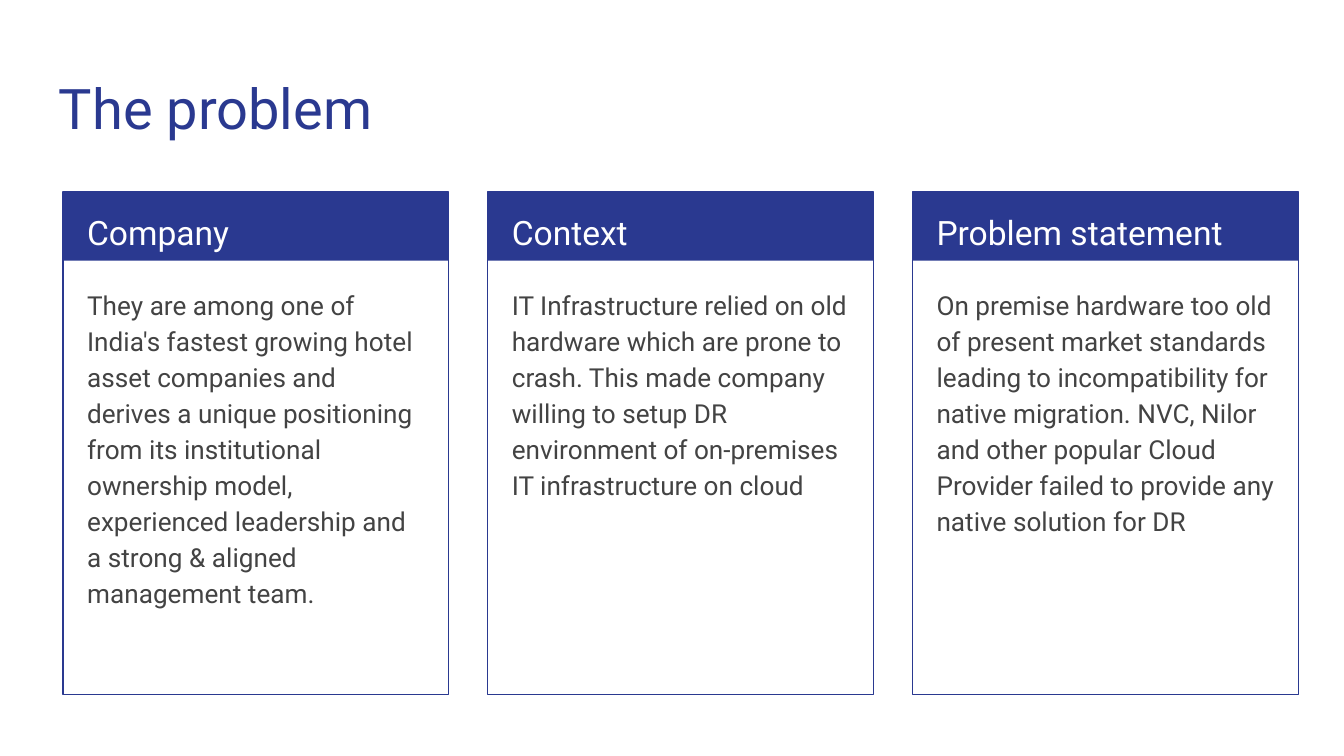
from pptx import Presentation
from pptx.dml.color import RGBColor
from pptx.enum import shapes, text
from pptx.util import Inches, Pt

BLUE, WHITE, GREY = "2A3990", "FFFFFF", "434343"


def color(value):
    return RGBColor.from_string(value)


def add_text(page, place, wording, size, ink, **spacing):
    box = page.shapes.add_textbox(*map(Inches, place))
    frame = box.text_frame
    frame_format = {"word_wrap": True, "vertical_anchor": text.MSO_ANCHOR.TOP}
    for side in ("left", "top", "right", "bottom"):
        frame_format[f"margin_{side}"] = Inches(0.1)
    for name, value in frame_format.items():
        setattr(frame, name, value)
    para = frame.paragraphs[0]
    for name, value in spacing.items():
        setattr(para, name, value)
    span = para.add_run()
    span.text = wording
    for name, value in {"name": "Roboto", "size": Pt(size)}.items():
        setattr(span.font, name, value)
    span.font.color.rgb = color(ink)


# Widescreen page, 16:9
deck = Presentation()
deck.slide_width = Inches(10)
deck.slide_height = Inches(10) * 9 // 16
page = deck.slides.add_slide(deck.slide_layouts[6])

# Title
add_text(page, (0.34, 0.45, 9.32, 0.66), "The problem", 30, BLUE)

# Three cards, evenly spaced
cards = [
    ("Company",
     "They are among one of India's fastest growing hotel asset companies and "
     "derives a unique positioning from its institutional ownership model, "
     "experienced leadership and a strong & aligned management team."),
    ("Context",
     "IT Infrastructure relied on old hardware which are prone to crash. This "
     "made company willing to setup DR environment of on-premises IT "
     "infrastructure on cloud"),
    ("Problem statement",
     "On premise hardware too old of present market standards leading to "
     "incompatibility for native migration. NVC, Nilor and other popular Cloud "
     "Provider failed to provide any native solution for DR"),
]
card_left, card_top, card_width, card_pitch = 0.47, 1.43, 2.87, 3.16

for index, (heading, body) in enumerate(cards):
    left = card_left + index * card_pitch

    # Filled header bar and outlined frame
    for height, filled in ((0.51, True), (3.74, False)):
        box = page.shapes.add_shape(
            shapes.MSO_SHAPE.RECTANGLE,
            *map(Inches, (left, card_top, card_width, height)))
        box.shadow.inherit = False
        if filled:
            box.fill.solid()
            box.fill.fore_color.rgb = color(BLUE)
            box.line.fill.background()
        else:
            box.fill.background()
            box.line.color.rgb = color(BLUE)
            box.line.width = Pt(0.75)

    # Heading and body text
    add_text(page, (left + 0.08, card_top, 2.73, 0.5), heading, 18, WHITE,
             line_spacing=1.15)
    add_text(page, (left + 0.08, 2.02, 2.71, 3.06), body, 14, GREY,
             line_spacing=1.15)

deck.save("out.pptx")
